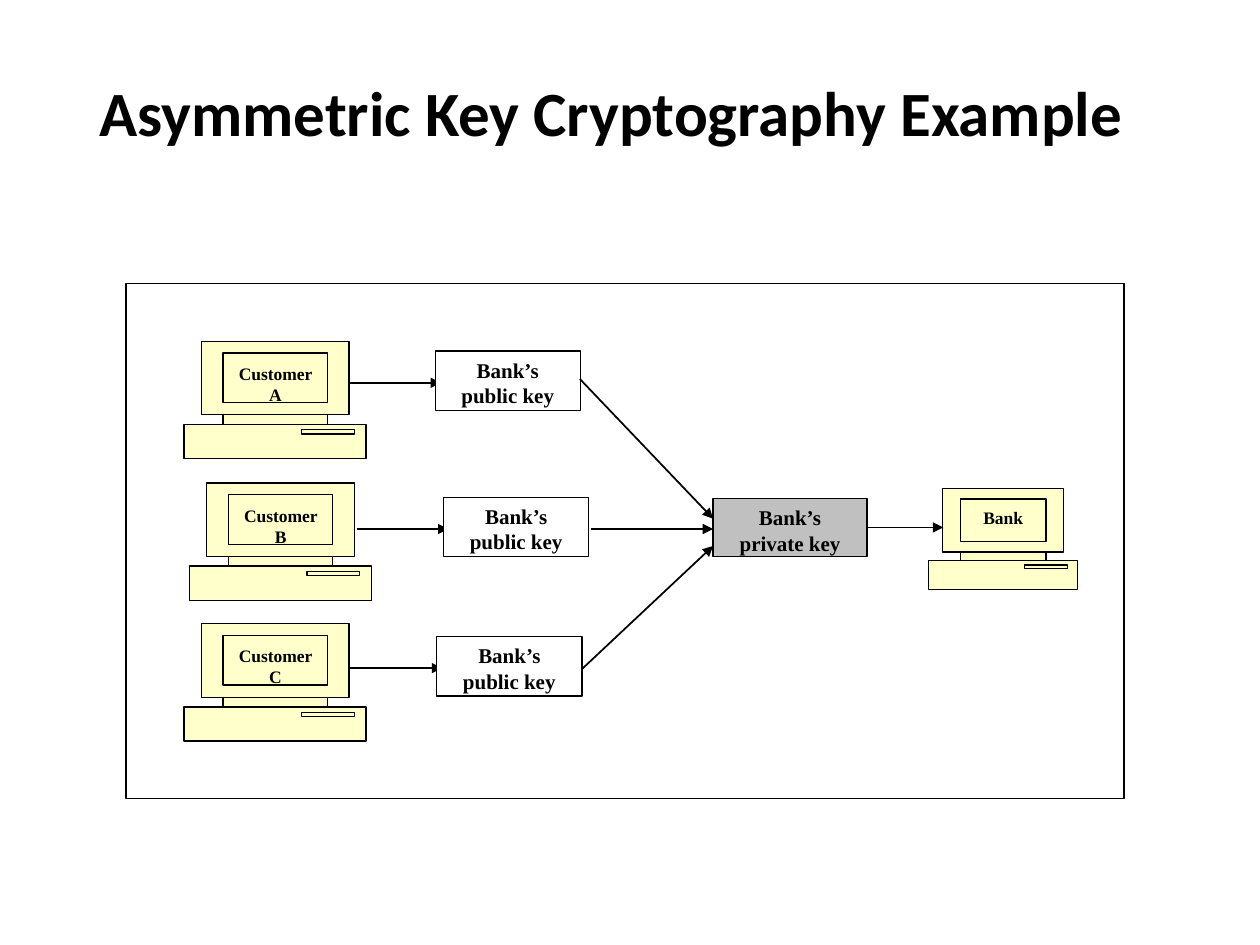
from pptx import Presentation
from pptx.dml.color import RGBColor
from pptx.enum.shapes import MSO_CONNECTOR, MSO_SHAPE
from pptx.enum.text import MSO_ANCHOR, PP_ALIGN
from pptx.oxml.ns import qn
from pptx.util import Pt
from lxml import etree
from copy import deepcopy

RECT, STRAIGHT = MSO_SHAPE.RECTANGLE, MSO_CONNECTOR.STRAIGHT
TOP, MIDDLE = MSO_ANCHOR.TOP, MSO_ANCHOR.MIDDLE
LEFT, CENTER = PP_ALIGN.LEFT, PP_ALIGN.CENTER
BLACK = RGBColor(0, 0, 0)
WHITE = RGBColor(255, 255, 255)
CREAM = RGBColor(255, 255, 204)
GRAY = RGBColor(192, 192, 192)
SERIF = "Times New Roman"

TITLE = "Asymmetric Key Cryptography Example"
FRAME = (72, 162, 570.4, 294.5)
KEY_SIZE = (83, 34)
# name, computer corner, public key corner, arrow start and end x, arrow y
CUSTOMERS = [
    ("Customer A", (105.2, 195), (248.7, 200.6), (199, 252), 218.8),
    ("Customer B", (108.2, 276), (253.5, 284.2), (203.8, 256.3), 302.3),
    ("Customer C", (105.2, 356.5), (249.6, 363.8), (199.6, 252.7), 381.8),
]
PRIVATE_KEY = (407.5, 285, 88, 33)
BANK = ("Bank", (530.5, 279.3), 0.82, 0.86)
KEY_ARROWS = [
    ((331.4, 216.6), (407.5, 296.4)),
    ((337.5, 302.3), (407.5, 302.3)),
    ((332.6, 382.3), (407.5, 312)),
    ((495.5, 301.4), (539, 301.4)),
]


def box_points(left, top, right, bottom):
    """Corners of a closed rectangle."""
    return [(left, top), (right, top), (right, bottom), (left, bottom)]


# One computer, 104 by 67 points
CASE = [(82, 47.5), (82, 42), (94.2, 42), (94.2, 0), (10, 0), (10, 42),
        (22.3, 42), (22.3, 47.5), (0, 47.5), (0, 67), (104, 67), (104, 47.5)]
NECK = box_points(22.3, 42, 82, 47.5)
SCREEN = box_points(22.3, 6.8, 82, 35)
SLOT = box_points(67.2, 50.6, 97.2, 53)


def write(s, text, size=12, font=SERIF, align=CENTER, anchor=TOP,
          margins=(10, 3.6, 10, 3.6)):
    """Put one bold paragraph into a shape."""
    tf = s.text_frame
    tf.word_wrap, tf.vertical_anchor = True, anchor
    tf.margin_left, tf.margin_top, tf.margin_right, tf.margin_bottom = map(Pt, margins)
    p = tf.paragraphs[0]
    p.alignment = align
    r = p.add_run()
    r.text = text
    r.font.size, r.font.name, r.font.bold = Pt(size), font, True
    r.font.color.rgb = BLACK


def paint(s, fill):
    """Give a shape a plain fill and a thin black line."""
    s.shadow.inherit = False
    s.fill.solid()
    s.fill.fore_color.rgb = fill
    s.line.color.rgb = BLACK
    s.line.width = Pt(0.75)


def add_box(bounds, fill, text=None):
    """Draw a rectangle, with text if given."""
    s = shapes.add_shape(RECT, *map(Pt, bounds))
    paint(s, fill)
    if text:
        write(s, text)


def add_arrow(start, end):
    """Draw a straight line with an arrowhead at its end."""
    s = shapes.add_connector(STRAIGHT, *map(Pt, start + end))
    s.line.color.rgb = BLACK
    s.line.width = Pt(1)
    etree.SubElement(s.line._get_or_add_ln(), qn("a:tailEnd"), type="triangle")
    etree.SubElement(s._element.spPr, qn("a:effectLst"))


def split_paths(s):
    """Give each contour its own path, so that inner ones stay filled."""
    path = s._element.find(".//" + qn("a:path"))
    current, path_list = path, path.getparent()
    for step in list(path)[1:]:
        if step.tag == qn("a:moveTo"):
            current = deepcopy(path)
            for child in list(current):
                current.remove(child)
            path_list.append(current)
        if current is not path:
            current.append(step)


def add_computer(name, corner, sx=1, sy=1):
    """Draw a computer with its name on the screen."""
    builder = None
    for contour in (CASE, NECK, SCREEN, SLOT):
        points = [(Pt(x * sx), Pt(y * sy)) for x, y in contour]
        if builder is None:
            builder = shapes.build_freeform(*points[0])
        else:
            builder.move_to(*points[0])
        builder.add_line_segments(points[1:], close=True)
    s = builder.convert_to_shape(*map(Pt, corner))
    split_paths(s)
    paint(s, CREAM)
    write(s, name, size=10, margins=(29.5 * sx, 12.3 * sy, 29.2 * sx, 0))


prs = Presentation()
prs.slide_width, prs.slide_height = Pt(720), Pt(540)
slide = prs.slides.add_slide(prs.slide_layouts[5])
shapes = slide.shapes

title = shapes.title
title.left, title.top, title.width, title.height = map(Pt, (49.5, 28.8, 621, 70))
write(title, TITLE, size=36, font="Calibri", align=LEFT, anchor=MIDDLE,
      margins=(7.2, 3.6, 7.2, 3.6))

add_box(FRAME, WHITE)
for name, corner, key, (x1, x2), y in CUSTOMERS:
    add_computer(name, corner)
    add_arrow((x1, y), (x2, y))
    add_box(key + KEY_SIZE, WHITE, "Bank’s public key")
add_box(PRIVATE_KEY, GRAY, "Bank’s private key")
add_computer(*BANK)
for start, end in KEY_ARROWS:
    add_arrow(start, end)

prs.save("out.pptx")
